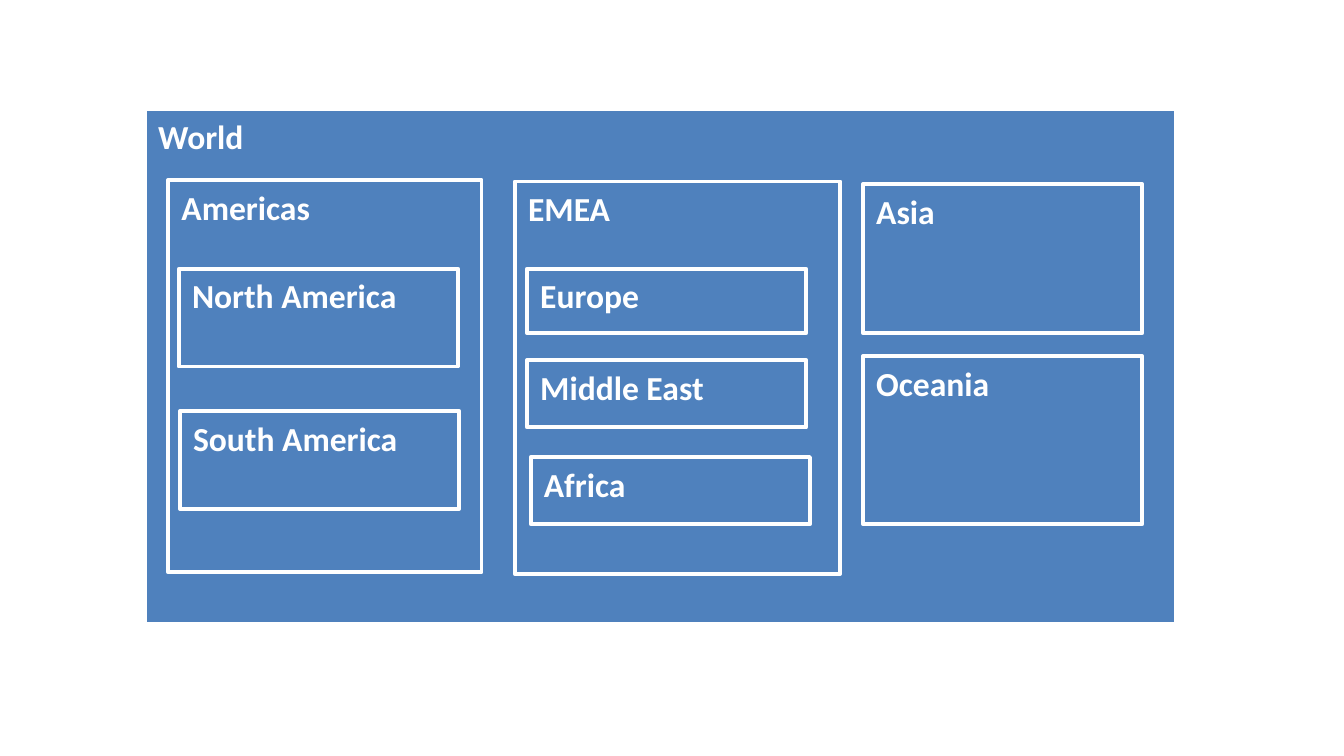
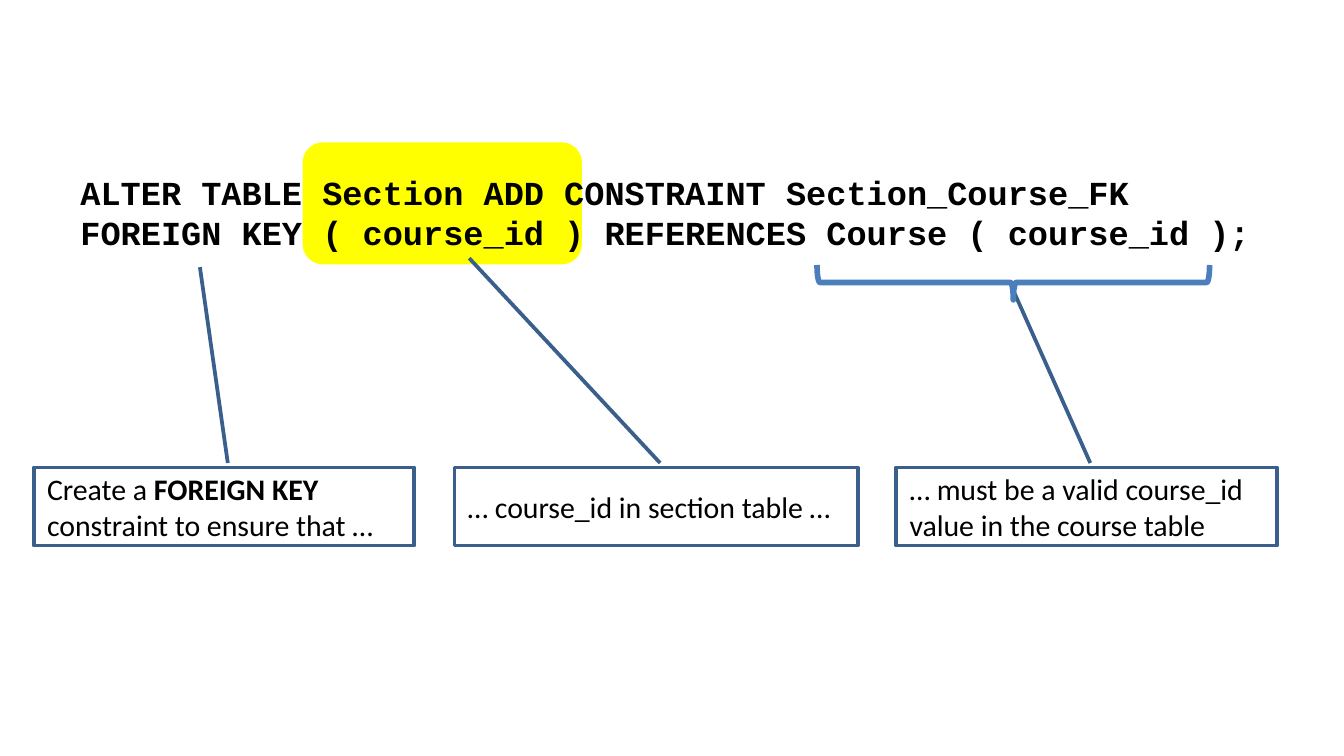
from pptx import Presentation
from pptx.dml.color import RGBColor
from pptx.enum.shapes import MSO_SHAPE
from pptx.enum.text import MSO_ANCHOR, MSO_AUTO_SIZE, PP_ALIGN
from pptx.util import Cm, Pt

BLUE = RGBColor(0x4F, 0x81, 0xBD)
BRACE_BLUE = RGBColor(0x4B, 0x7E, 0xBC)
DARK_BLUE = RGBColor(0x3A, 0x5F, 0x8C)
YELLOW = RGBColor(0xFF, 0xFF, 0x00)
WHITE = RGBColor(0xFF, 0xFF, 0xFF)
BLACK = RGBColor(0x00, 0x00, 0x00)
BODY_FONT = "Calibri"
CODE_FONT = "Courier New"
BLANK_LAYOUT = 6

REGION_WIDTH = 5.28
CALLOUT_TOP, CALLOUT_HEIGHT = 8.84, 1.47

# Name, left, top, width, height in centimetres, outermost first
REGIONS = [
    ("World", 2.74, 2.06, 19.48, 9.73),
    ("Americas", 3.18, 3.4, 5.92, 7.42),
    ("North America", 3.38, 5.08, REGION_WIDTH, 1.85),
    ("South America", 3.4, 7.77, REGION_WIDTH, 1.85),
    ("EMEA", 9.73, 3.43, 6.15, 7.42),
    ("Europe", 9.96, 5.08, REGION_WIDTH, 1.22),
    ("Middle East", 9.96, 6.81, REGION_WIDTH, 1.27),
    ("Africa", 10.03, 8.64, REGION_WIDTH, 1.27),
    ("Asia", 16.31, 3.48, REGION_WIDTH, 2.82),
    ("Oceania", 16.31, 6.73, REGION_WIDTH, 3.18),
]

# Left, width, point the leader line ends at, runs as (text, bold)
CALLOUTS = [
    (8.59, 7.62, (8.87, 4.88), [("… course_id in section table …", False)]),
    (16.94, 7.19, (19.13, 5.44),
     [("… must be a valid course_id value in the course table", False)]),
    (0.64, 7.19, (3.78, 5.05),
     [("Create a ", False), ("FOREIGN KEY ", True),
      ("constraint to ensure that …", False)]),
]

STATEMENT = ("ALTER TABLE Section ADD CONSTRAINT Section_Course_FK "
             "FOREIGN KEY ( course_id ) REFERENCES Course ( course_id );")


class Deck:
    def __init__(self):
        self.presentation = Presentation()
        self.presentation.slide_width = Cm(25.4)
        self.presentation.slide_height = Cm(14.29)
        self.slide = None

    def add_slide(self):
        layout = self.presentation.slide_layouts[BLANK_LAYOUT]
        self.slide = self.presentation.slides.add_slide(layout)

    def shape(self, kind, box, fill=None, line=None, line_width=2):
        shape = self.slide.shapes.add_shape(kind, *map(Cm, box))
        shape.shadow.inherit = False
        if fill is None:
            shape.fill.background()
        else:
            shape.fill.solid()
            shape.fill.fore_color.rgb = fill
        if line is None:
            shape.line.fill.background()
        else:
            shape.line.color.rgb = line
            shape.line.width = Pt(line_width)
        return shape

    def set_text(self, shape, runs, size, color, font=BODY_FONT, anchor=MSO_ANCHOR.TOP):
        """Fill the shape with one left-aligned paragraph of (text, bold) runs."""
        frame = shape.text_frame
        frame.word_wrap = True
        frame.vertical_anchor = anchor
        paragraph = frame.paragraphs[0]
        paragraph.alignment = PP_ALIGN.LEFT
        paragraph.font.name = font
        paragraph.font.size = Pt(size)
        paragraph.font.color.rgb = color
        for text, bold in runs:
            run = paragraph.add_run()
            run.text = text
            run.font.bold = bold

    def region(self, name, *box):
        shape = self.shape(MSO_SHAPE.RECTANGLE, box, BLUE, WHITE)
        self.set_text(shape, [(name, True)], 18, WHITE)

    def code(self, text, box):
        shape = self.slide.shapes.add_textbox(*map(Cm, box))
        self.set_text(shape, [(text, True)], 18, BLACK, CODE_FONT)
        shape.text_frame.auto_size = MSO_AUTO_SIZE.SHAPE_TO_FIT_TEXT

    def callout(self, left, width, target, runs):
        """Add a note whose leader runs from just above its middle to the target."""
        shape = self.shape(MSO_SHAPE.LINE_CALLOUT_1,
                           (left, CALLOUT_TOP, width, CALLOUT_HEIGHT), line=DARK_BLUE)
        target_x, target_y = target
        leader = (-0.06, 0.51,
                  (target_y - CALLOUT_TOP) / CALLOUT_HEIGHT, (target_x - left) / width)
        for index, value in enumerate(leader):
            shape.adjustments[index] = value
        self.set_text(shape, runs, 16, BLACK, anchor=MSO_ANCHOR.MIDDLE)

    def brace_below(self, left, top, width, height):
        """Add a brace that lies on its side, given the box it covers when turned."""
        upright = (left + (width - height) / 2, top - (width - height) / 2, height, width)
        shape = self.shape(MSO_SHAPE.RIGHT_BRACE, upright, line=BRACE_BLUE, line_width=3)
        shape.rotation = 90


def main():
    deck = Deck()

    deck.add_slide()
    for region in REGIONS:
        deck.region(*region)

    deck.add_slide()
    deck.shape(MSO_SHAPE.ROUNDED_RECTANGLE, (5.72, 2.69, 5.28, 2.31), YELLOW)
    deck.code(STATEMENT, (1.27, 3.12, 23.06, 1.8))
    for callout in CALLOUTS:
        deck.callout(*callout)
    deck.brace_below(15.44, 5.01, 7.42, 0.66)

    deck.presentation.save("out.pptx")


if __name__ == "__main__":
    main()
